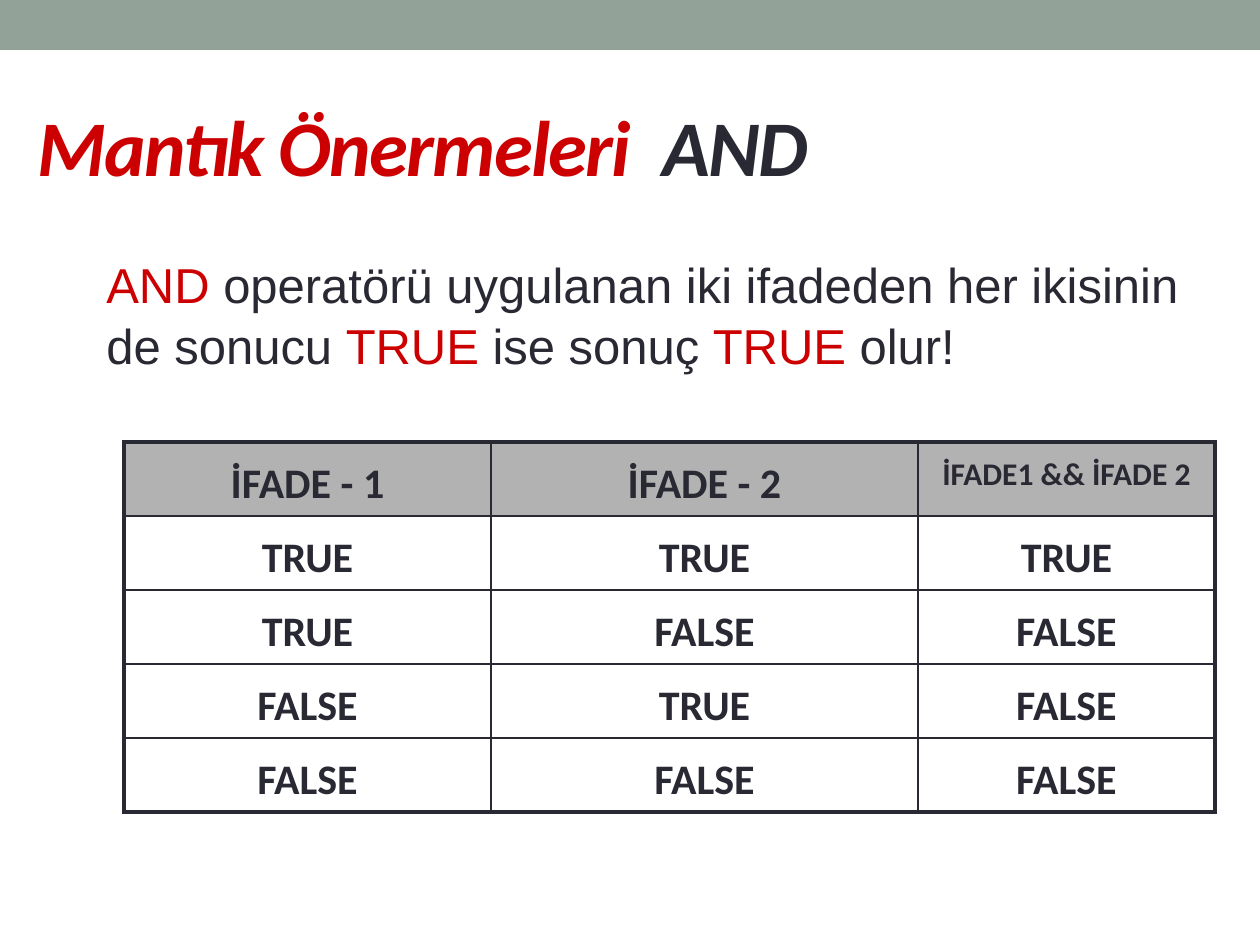
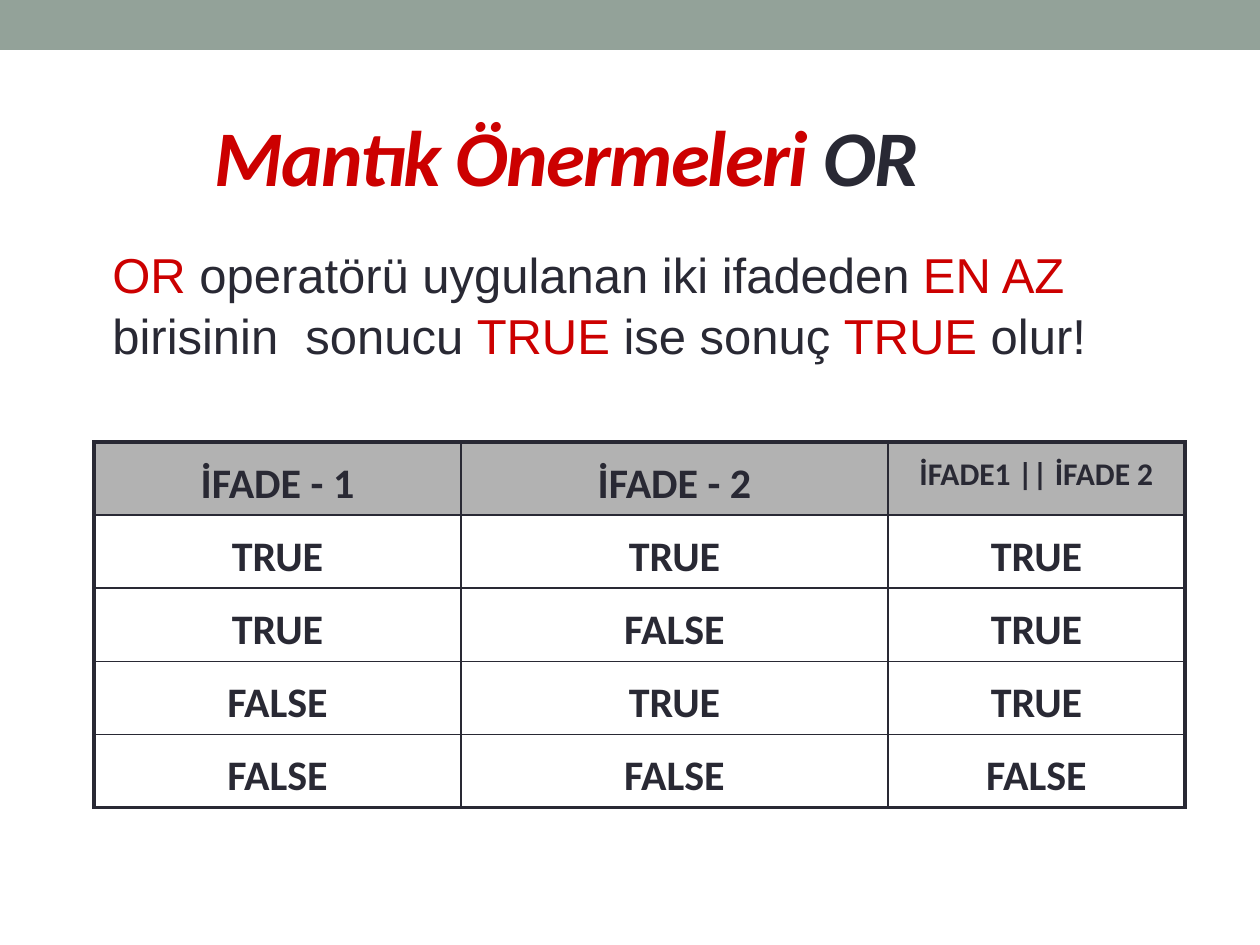
from dataclasses import dataclass
from itertools import cycle, product

from lxml.etree import SubElement
from pptx import Presentation
from pptx.dml.color import RGBColor
from pptx.enum.shapes import MSO_SHAPE
from pptx.enum.text import MSO_ANCHOR, PP_ALIGN
from pptx.oxml.ns import qn
from pptx.slide import Slide
from pptx.table import _Cell
from pptx.text.text import _Paragraph
from pptx.util import Emu, Pt

# Scale and page size
PX = 914400 // 126
PAGE_WIDTH, PAGE_HEIGHT = 1260, 945

# Shared colours
BAND, ACCENT, INK, HEADER = "93A299", "CC0000", "292934", "B2B2B2"

# Shared text formats
TITLE_FORMAT = {"name": "Calibri", "size": Pt(45), "bold": True, "italic": True}
BODY_FORMAT = {"name": "Arial", "size": Pt(28)}
CELL_FORMAT = {"name": "Calibri", "size": Pt(24), "bold": True}
RESULT_HEADER_FORMAT = {**CELL_FORMAT, "size": Pt(18)}

# Truth table
COLUMN_WIDTHS = (367, 427, 297)
TABLE_TOP = 442
THICK, THIN = 2.25, 1
TITLE_SIZE = (854, 158)
BODY_SIZE = (1126, 130)


@dataclass
class OperatorPage:
    """Text parts alternate between the accent and the ink colour."""
    title: tuple[str, ...]
    title_at: tuple[int, int]
    body: tuple[str, ...]
    body_at: tuple[int, int]
    table_left: int
    row_height: int
    result_header: str
    results: tuple[bool, ...]


PAGES = (
    OperatorPage(
        title=("Mantık Önermeleri  ", "AND"),
        title_at=(25, 66),
        body=("AND", " operatörü uygulanan iki ifadeden her ikisinin de sonucu ",
              "TRUE", " ise sonuç ", "TRUE", " olur!"),
        body_at=(94, 245),
        table_left=124,
        row_height=74,
        result_header="İFADE1 && İFADE 2",
        results=(True, False, False, False),
    ),
    OperatorPage(
        title=("Mantık Önermeleri ", "OR"),
        title_at=(202, 76),
        body=("OR", " operatörü uygulanan iki ifadeden ", "EN AZ",
              " birisinin  sonucu ", "TRUE", " ise sonuç ", "TRUE", " olur!"),
        body_at=(100, 235),
        table_left=94,
        row_height=73,
        result_header="İFADE1 || İFADE 2",
        results=(True, True, True, False),
    ),
)


def px(*lengths: int) -> list[Emu]:
    return [Emu(length * PX) for length in lengths]


def colour(code: str) -> RGBColor:
    return RGBColor.from_string(code)


def add_span(para: _Paragraph, text: str, code: str, text_format: dict,
             spacing: int = 0) -> None:
    span = para.add_run()
    span.text = text
    for attribute, value in text_format.items():
        setattr(span.font, attribute, value)
    span.font.color.rgb = colour(code)
    if spacing:
        span._r.get_or_add_rPr().set("spc", str(spacing))


def add_text(page: Slide, at: tuple[int, int], size: tuple[int, int],
             parts: tuple[str, ...], text_format: dict, anchor: MSO_ANCHOR,
             line_spacing: float = 1.0, spacing: int = 0) -> None:
    frame = page.shapes.add_textbox(*px(*at, *size)).text_frame
    frame.word_wrap = True
    frame.vertical_anchor = anchor
    para = frame.paragraphs[0]
    para.line_spacing = line_spacing
    for text, code in zip(parts, cycle((ACCENT, INK))):
        add_span(para, text, code, text_format, spacing)


def add_band(page: Slide) -> None:
    band = page.shapes.add_shape(MSO_SHAPE.RECTANGLE, *px(0, 0, PAGE_WIDTH, 50))
    band.shadow.inherit = False
    band.fill.solid()
    band.fill.fore_color.rgb = colour(BAND)
    band.line.fill.background()


def set_borders(cell: _Cell, widths: dict[str, float]) -> None:
    properties = cell._tc.get_or_add_tcPr()
    for index, (side, width) in enumerate(widths.items()):
        line = SubElement(properties, qn(f"a:{side}"), w=str(Pt(width)))
        fill = SubElement(line, qn("a:solidFill"))
        SubElement(fill, qn("a:srgbClr"), val=INK)
        properties.insert(index, line)  # borders come before the fill


def add_truth_table(page: Slide, content: OperatorPage) -> None:
    inputs = product((True, False), repeat=2)
    rows = [("İFADE - 1", "İFADE - 2", content.result_header)]
    rows += [tuple(str(value).upper() for value in (*pair, result))
             for pair, result in zip(inputs, content.results)]
    last_row, last_column = len(rows) - 1, len(COLUMN_WIDTHS) - 1

    table = page.shapes.add_table(
        len(rows), len(COLUMN_WIDTHS),
        *px(content.table_left, TABLE_TOP, sum(COLUMN_WIDTHS),
            len(rows) * content.row_height)).table
    table.horz_banding = False
    for column, width in zip(table.columns, COLUMN_WIDTHS):
        column.width = Emu(width * PX)

    for row_index, row in enumerate(rows):
        for column_index, text in enumerate(row):
            cell = table.cell(row_index, column_index)
            is_header = row_index == 0
            if is_header:
                cell.fill.solid()
                cell.fill.fore_color.rgb = colour(HEADER)
            else:
                cell.fill.background()
            set_borders(cell, {
                "lnL": THICK if column_index == 0 else THIN,
                "lnR": THICK if column_index == last_column else THIN,
                "lnT": THICK if is_header else THIN,
                "lnB": THICK if row_index == last_row else THIN,
            })
            para = cell.text_frame.paragraphs[0]
            para.alignment = PP_ALIGN.CENTER
            para.line_spacing = 1.2
            is_result_header = is_header and column_index == last_column
            add_span(para, text, INK,
                     RESULT_HEADER_FORMAT if is_result_header else CELL_FORMAT)


def main() -> None:
    deck = Presentation()
    deck.slide_width, deck.slide_height = px(PAGE_WIDTH, PAGE_HEIGHT)
    for content in PAGES:
        page = deck.slides.add_slide(deck.slide_layouts[6])
        add_band(page)
        add_text(page, content.title_at, TITLE_SIZE, content.title,
                 TITLE_FORMAT, MSO_ANCHOR.MIDDLE, spacing=-100)
        add_text(page, content.body_at, BODY_SIZE, content.body,
                 BODY_FORMAT, MSO_ANCHOR.TOP, line_spacing=1.05)
        add_truth_table(page, content)
    deck.save("out.pptx")


if __name__ == "__main__":
    main()
